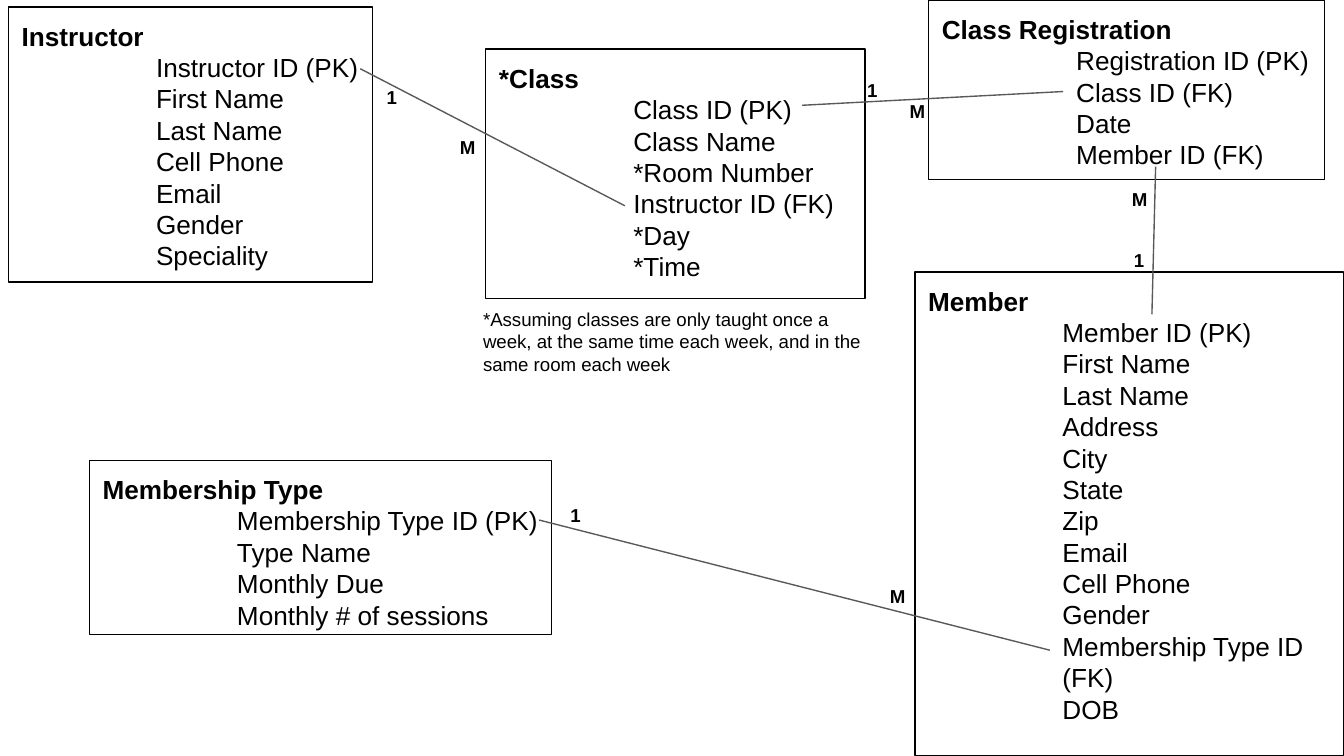
from pptx import Presentation
from pptx.dml.color import RGBColor
from pptx.enum.shapes import MSO_CONNECTOR, MSO_SHAPE
from pptx.enum.text import MSO_ANCHOR, PP_ALIGN
from pptx.oxml.ns import qn
from pptx.util import Cm, Pt
from lxml.etree import SubElement

BLACK = RGBColor(0x00, 0x00, 0x00)
GRAY = RGBColor(0x59, 0x59, 0x59)
FONT = "Arial"
INSET = Cm(0.25)
FIELD_INDENT = Cm(2.54)

# Entities: box (left, top, width, height in cm), title, fields
ENTITIES = [
    ((0.16, 0.13, 6.88, 5.2), "Instructor",
     ["Instructor ID (PK)", "First Name", "Last Name", "Cell Phone",
      "Email", "Gender", "Speciality"]),
    ((9.18, 0.93, 7.17, 4.72), "*Class",
     ["Class ID (PK)", "Class Name", "*Room Number", "Instructor ID (FK)",
      "*Day", "*Time"]),
    ((17.55, 0, 7.48, 3.4), "Class Registration",
     ["Registration ID (PK)", "Class ID (FK)", "Date", "Member ID (FK)"]),
    ((17.29, 5.14, 8.1, 9.14), "Member",
     ["Member ID (PK)", "First Name", "Last Name", "Address", "City",
      "State", "Zip", "Email", "Cell Phone", "Gender",
      "Membership Type ID", "(FK)", "DOB"]),
    ((1.69, 8.7, 8.74, 3.3), "Membership Type",
     ["Membership Type ID (PK)", "Type Name", "Monthly Due",
      "Monthly # of sessions"]),
]

# Relations: start, end, position of the "1" label, position of the "M" label
RELATIONS = [
    ((6.81, 1.3), (11.81, 3.89), (7.06, 1.41), (8.44, 2.35)),
    ((15.16, 1.99), (20.09, 1.73), (16.14, 1.28), (16.94, 1.68)),
    ((21.84, 3.15), (21.77, 5.94), (21.18, 4.49), (21.14, 3.34)),
    ((19.84, 12.29), (10.19, 9.83), (10.53, 9.31), (16.57, 10.84)),
]

NOTE = ("*Assuming classes are only taught once a week, at the same time "
        "each week, and in the same room each week")


def add_run(p, text, size, bold=False):
    r = p.add_run()
    r.text = text
    r.font.name = FONT
    r.font.size = Pt(size)
    r.font.bold = bold
    r.font.color.rgb = BLACK


def add_entity(s, box, title, fields):
    sp = s.shapes.add_shape(MSO_SHAPE.RECTANGLE, *map(Cm, box))
    sp.shadow.inherit = False
    sp.fill.background()
    sp.line.color.rgb = BLACK
    sp.line.width = Pt(0.75)
    tf = sp.text_frame
    tf.word_wrap = True
    tf.vertical_anchor = MSO_ANCHOR.TOP
    tf.margin_left = tf.margin_top = tf.margin_bottom = INSET
    tf.margin_right = 0
    p = tf.paragraphs[0]
    p.alignment = PP_ALIGN.LEFT
    add_run(p, title, 14, bold=True)
    for field in fields:
        p = tf.add_paragraph()
        p.alignment = PP_ALIGN.LEFT
        pPr = p._p.get_or_add_pPr()
        pPr.set("marL", str(FIELD_INDENT))
        pPr.set("indent", "0")
        add_run(p, field, 14)


def add_text(s, box, text, bold=False, inset_y=INSET):
    tf = s.shapes.add_textbox(*map(Cm, box)).text_frame
    tf.word_wrap = True
    tf.margin_left = tf.margin_right = INSET
    tf.margin_top = tf.margin_bottom = inset_y
    add_run(tf.paragraphs[0], text, 10, bold)


def add_relation(s, start, end, one, many):
    line = s.shapes.add_connector(MSO_CONNECTOR.STRAIGHT,
                                  *map(Cm, start + end))
    line.line.color.rgb = GRAY
    line.line.width = Pt(0.75)
    SubElement(line._element.spPr, qn("a:effectLst"))
    for text, pos in (("1", one), ("M", many)):
        add_text(s, pos + (0.94, 1.09), text, bold=True)


prs = Presentation()
prs.slide_width, prs.slide_height = Cm(25.4), Cm(14.29)
s = prs.slides.add_slide(prs.slide_layouts[6])

# Entity boxes
for entity in ENTITIES:
    add_entity(s, *entity)

# Relations with their cardinality
for relation in RELATIONS:
    add_relation(s, *relation)

# Footnote to the class entity
add_text(s, (8.88, 5.69, 7.8, 1.55), NOTE, inset_y=Cm(0.13))

prs.save("out.pptx")
